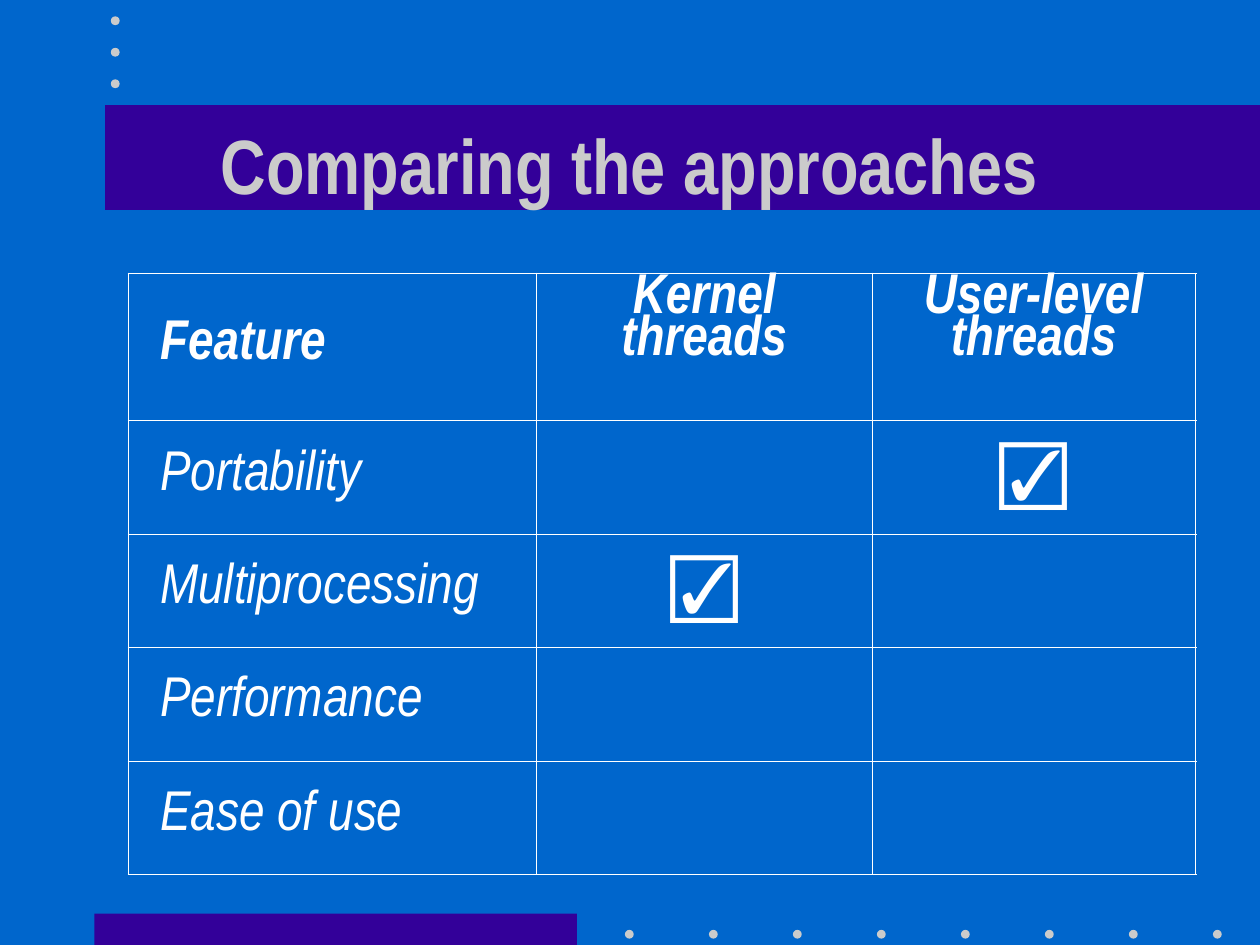
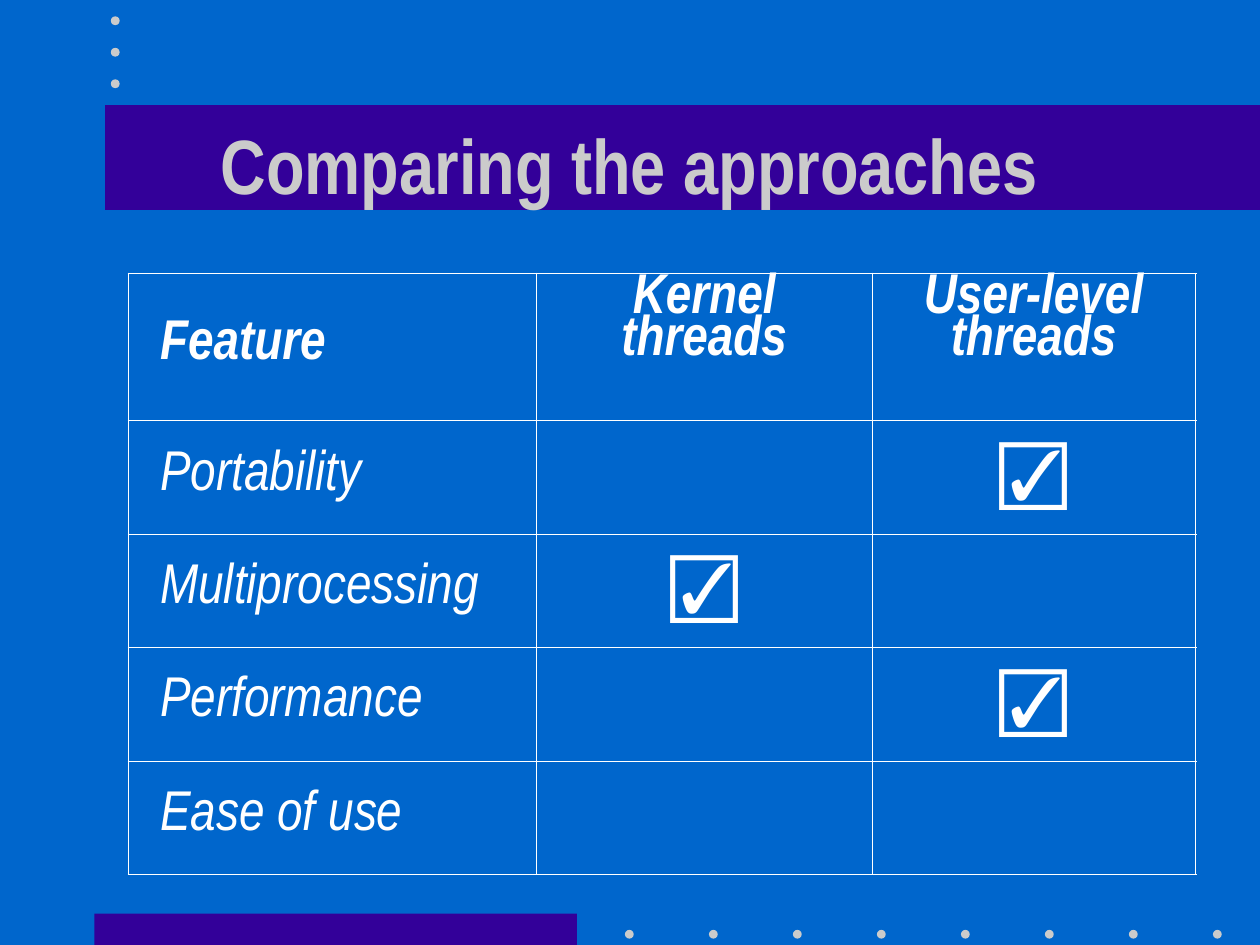
from lxml import etree
from pptx import Presentation
from pptx import util as u
from pptx.dml.color import RGBColor
from pptx.enum import shapes, text
from pptx.oxml import ns

# Content
TITLE = "Comparing the approaches"
HEADINGS = ["Feature", "Kernel\vthreads", "User-level\vthreads"]
FEATURES = ["Portability", "Multiprocessing", "Performance", "Ease of use"]
KERNEL, USER = 1, 2
CHECK = "☑"
PAGES = [
    {"Portability": USER, "Multiprocessing": KERNEL},
    {"Portability": USER, "Multiprocessing": KERNEL, "Performance": USER},
]

# Shared style
BLUE = RGBColor(0x00, 0x66, 0xCC)
PURPLE = RGBColor(0x33, 0x00, 0x99)
GREY = RGBColor(0xCB, 0xCB, 0xCB)
WHITE = RGBColor(0xFF, 0xFF, 0xFF)
NARROW, SANS = "Arial Narrow", "Arial"
THIN, THICK = 0.45, 1.08

# Layout in inches
WIDTH, HEIGHT = 10, 7.5
BAND = (WIDTH / 12, HEIGHT / 9, WIDTH * 11 / 12, HEIGHT / 9)
FOOTER = (0.75, 7.25, 3.83, 0.25)
DOT = 0.07
DOTS = [(4.96 + i * 2 / 3, 7.38) for i in range(8)]
DOTS += [(0.88, 0.13 + i / 4) for i in range(3)]
TITLE_BOX = (0.75, 0.67, 8.5, 1.25)
TABLE_LEFT, TABLE_TOP = 1.02, 2.17
COLUMNS = [3.24, 2.66, 2.57]
ROWS = [1.17] + [0.9] * len(FEATURES)


def inches(lengths):
    return [u.Inches(length) for length in lengths]


def add_solid(page, kind, place, colour):
    shape = page.shapes.add_shape(kind, *inches(place))
    shape.shadow.inherit = False
    shape.fill.solid()
    shape.fill.fore_color.rgb = colour
    shape.line.fill.background()


def style_text(para, size, colour, font=NARROW, bold=True, italic=False):
    for span in para.runs:
        span.font.size = u.Pt(size)
        span.font.name = font
        span.font.color.rgb = colour
        span.font.bold = bold
        span.font.italic = italic


def add_frame(page):
    """Bands, dots and title of every page."""
    for place in (FOOTER, BAND):
        add_solid(page, shapes.MSO_SHAPE.RECTANGLE, place, PURPLE)
    for left, top in DOTS:
        add_solid(page, shapes.MSO_SHAPE.OVAL, (left, top, DOT, DOT), GREY)
    box = page.shapes.add_textbox(*inches(TITLE_BOX))
    frame = box.text_frame
    frame.word_wrap = True
    frame.vertical_anchor = text.MSO_ANCHOR.MIDDLE
    frame.text = TITLE
    para = frame.paragraphs[0]
    para.alignment = text.PP_ALIGN.CENTER
    style_text(para, 44, GREY)


def set_borders(cell, row, column):
    """Thick lines on the outside of the table, thin ones inside."""
    outer = {
        "L": column == 0,
        "R": column == len(COLUMNS) - 1,
        "T": row == 0,
        "B": row == len(ROWS) - 1,
    }
    properties = cell._tc.get_or_add_tcPr()
    for side, is_outer in outer.items():
        width = u.Pt(THICK if is_outer else THIN)
        line = etree.SubElement(properties, ns.qn(f"a:ln{side}"), w=str(width))
        fill = etree.SubElement(line, ns.qn("a:solidFill"))
        etree.SubElement(fill, ns.qn("a:srgbClr"), val=str(WHITE))


def fill_cell(cell, words, row, column):
    set_borders(cell, row, column)
    cell.fill.background()
    if not words:
        return
    is_check = words == CHECK
    cell.text_frame.text = words
    para = cell.text_frame.paragraphs[0]
    para.space_before = u.Pt(10 if is_check else 8)
    para.line_spacing = 0.8
    if column == 0:
        cell.margin_left = u.Inches(0.25)
    else:
        para.alignment = text.PP_ALIGN.CENTER
    if column == 0 or row > 0:
        cell.vertical_anchor = text.MSO_ANCHOR.MIDDLE
    if is_check:
        style_text(para, 40, WHITE, font=SANS)
    else:
        style_text(para, 32, WHITE, bold=row == 0, italic=True)


def add_comparison(page, checks):
    place = (TABLE_LEFT, TABLE_TOP, sum(COLUMNS), sum(ROWS))
    table = page.shapes.add_table(len(ROWS), len(COLUMNS), *inches(place)).table
    table.first_row = table.horz_banding = False
    for column, width in zip(table.columns, COLUMNS):
        column.width = u.Inches(width)
    for row, height in zip(table.rows, ROWS):
        row.height = u.Inches(height)

    grid = [HEADINGS]
    for feature in FEATURES:
        marks = [CHECK if checks.get(feature) == kind else ""
                 for kind in (KERNEL, USER)]
        grid.append([feature] + marks)
    for r, line in enumerate(grid):
        for c, words in enumerate(line):
            fill_cell(table.cell(r, c), words, r, c)


def main():
    deck = Presentation()
    deck.slide_width, deck.slide_height = inches((WIDTH, HEIGHT))
    background = deck.slide_master.background.fill
    background.solid()
    background.fore_color.rgb = BLUE
    for checks in PAGES:
        page = deck.slides.add_slide(deck.slide_layouts[6])
        add_frame(page)
        add_comparison(page, checks)
    deck.save("out.pptx")


if __name__ == "__main__":
    main()
